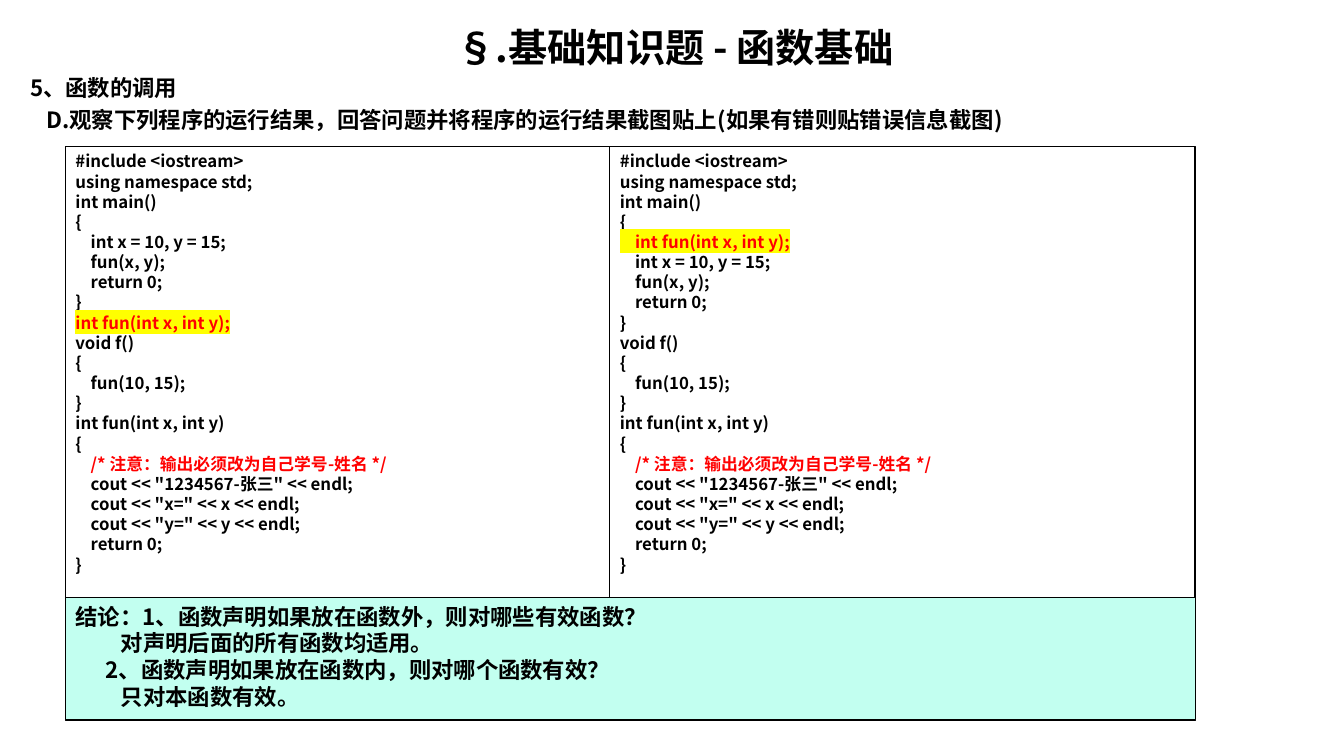
"""Build a slide comparing function declarations outside and inside main()."""
from lxml.etree import SubElement
from pptx import Presentation
from pptx.dml.color import RGBColor
from pptx.enum.shapes import MSO_SHAPE
from pptx.enum.text import MSO_ANCHOR, MSO_AUTO_SIZE, PP_ALIGN
from pptx.oxml.ns import qn
from pptx.util import Inches, Pt

FONT = "Noto Sans CJK SC"
BLACK = RGBColor(0x00, 0x00, 0x00)
RED = RGBColor(0xFF, 0x00, 0x00)
YELLOW = RGBColor(0xFF, 0xFF, 0x00)
MINT = RGBColor(0xC2, 0xFF, 0xF0)

DECLARATION = "int fun(int x, int y);"
NOTE = "    /* 注意：输出必须改为自己学号-姓名 */"
MAIN_OPEN = ["#include <iostream>", "using namespace std;", "int main()", "{"]
MAIN_BODY = ["    int x = 10, y = 15;", "    fun(x, y);", "    return 0;", "}"]
FUNCTIONS = [
    "void f()",
    "{",
    "    fun(10, 15);",
    "}",
    "int fun(int x, int y)",
    "{",
    NOTE,
    '    cout << "1234567-张三" << endl;',
    '    cout << "x=" << x << endl;',
    '    cout << "y=" << y << endl;',
    "    return 0;",
    "}",
]
OUTSIDE_CODE = MAIN_OPEN + MAIN_BODY + [DECLARATION] + FUNCTIONS
INSIDE_CODE = MAIN_OPEN + ["    " + DECLARATION] + MAIN_BODY + FUNCTIONS

TITLE = "§.基础知识题 - 函数基础"
HEADINGS = [
    ("5、函数的调用", 0),
    ("D.观察下列程序的运行结果，回答问题并将程序的运行结果截图贴上(如果有错则贴错误信息截图)", 0.16),
]
CONCLUSION = [
    ("结论：1、函数声明如果放在函数外，则对哪些有效函数？", 0),
    ("对声明后面的所有函数均适用。", 0.45),
    ("2、函数声明如果放在函数内，则对哪个函数有效？", 0.3),
    ("只对本函数有效。", 0.45),
]


def set_attributes(target, values):
    """Set each named attribute of an object."""
    for name, value in values.items():
        setattr(target, name, value)


def prepare_frame(tf):
    """Anchor wrapped text at the top of its frame."""
    set_attributes(tf, {
        "word_wrap": True,
        "auto_size": MSO_AUTO_SIZE.NONE,
        "vertical_anchor": MSO_ANCHOR.TOP,
        "margin_left": Inches(0.1),
        "margin_right": Inches(0.1),
        "margin_top": Inches(0.05),
        "margin_bottom": Inches(0.05),
    })


def add_run(p, text, size, color=BLACK, highlight=None):
    """Add one bold run with its colour and optional highlight."""
    r = p.add_run()
    r.text = text
    r.font.color.rgb = color
    r_pr = r.font._element
    if highlight is not None:
        mark = SubElement(r_pr, qn("a:highlight"))
        SubElement(mark, qn("a:srgbClr"), val=str(highlight))
    set_attributes(r.font, {"name": FONT, "size": Pt(size), "bold": True})
    SubElement(r_pr, qn("a:ea"), typeface=FONT)


def write_lines(tf, lines, size, gap=0, align=PP_ALIGN.LEFT):
    """Write (text, indent, run format) lines as paragraphs."""
    prepare_frame(tf)
    for i, (text, indent, run_format) in enumerate(lines):
        p = tf.add_paragraph() if i else tf.paragraphs[0]
        set_attributes(p, {
            "alignment": align,
            "line_spacing": Pt(size * 1.2),
            "space_before": Pt(gap if i else 0),
            "space_after": Pt(0),
        })
        p._p.get_or_add_pPr().set("marL", str(Inches(indent)))
        p._p.get_or_add_pPr().set("indent", "0")
        add_run(p, text, size, **run_format)


def plain(lines):
    """Give indented lines the default run format."""
    return [(text, indent, {}) for text, indent in lines]


def code_lines(code):
    """Mark the declaration and the note in a code listing."""
    formats = {
        DECLARATION: {"color": RED, "highlight": YELLOW},
        NOTE.strip(): {"color": RED},
    }
    return [(line, 0, formats.get(line.strip(), {})) for line in code]


def add_panel(slide, box, lines, size, fill=None):
    """Add a thin-bordered rectangle holding text."""
    sp = slide.shapes.add_shape(MSO_SHAPE.RECTANGLE, *map(Inches, box))
    sp.shadow.inherit = False
    if fill is None:
        sp.fill.background()
    else:
        sp.fill.solid()
        sp.fill.fore_color.rgb = fill
    sp.line.color.rgb = BLACK
    sp.line.width = Pt(0.75)
    write_lines(sp.text_frame, lines, size)


def add_title(slide):
    """Place and format the title placeholder."""
    title = slide.shapes.title
    set_attributes(title, {
        "left": Inches(0.2),
        "top": Inches(0.18),
        "width": Inches(12.99),
        "height": Inches(0.57),
    })
    write_lines(title.text_frame, plain([(TITLE, 0)]), 28, align=PP_ALIGN.CENTER)


def add_headings(slide):
    """Add the section heading and the task beneath it."""
    box = slide.shapes.add_textbox(*map(Inches, (0.2, 0.69, 12.99, 0.7)))
    write_lines(box.text_frame, plain(HEADINGS), 16, gap=3.2)


def main():
    """Build and save the slide."""
    prs = Presentation()
    prs.slide_width, prs.slide_height = Inches(13.33), Inches(7.5)
    slide = prs.slides.add_slide(prs.slide_layouts[5])
    add_title(slide)
    add_headings(slide)
    add_panel(slide, (0.65, 1.45, 11.21, 5.7), code_lines(OUTSIDE_CODE), 12)
    add_panel(slide, (6.05, 1.45, 5.8, 5.7), code_lines(INSIDE_CODE), 12)
    add_panel(slide, (0.65, 5.93, 11.21, 1.21), plain(CONCLUSION), 16, MINT)
    prs.save("out.pptx")


if __name__ == "__main__":
    main()
